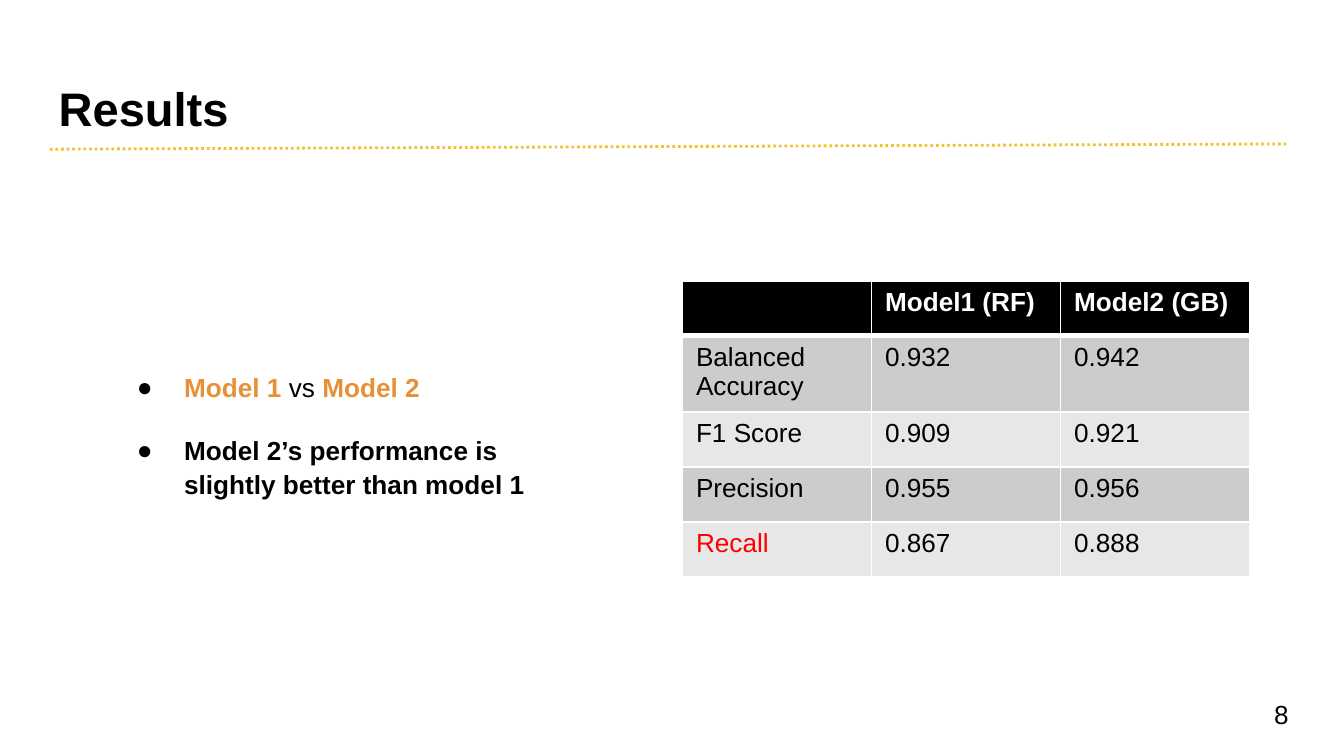
from dataclasses import dataclass

from lxml import etree
from pptx import Presentation
from pptx import util as u
from pptx.dml.color import RGBColor
from pptx.enum import dml, shapes, text
from pptx.oxml import ns


@dataclass(frozen=True)
class Theme:
    font: str = "Arial"
    title_size: float = 25.2
    body_size: float = 14
    ink: str = "000000"
    paper: str = "FFFFFF"
    accent: str = "E69138"
    rule: str = "F1C232"
    alert: str = "FF0000"
    bands: tuple = ("CCCCCC", "E7E7E7")


THEME = Theme()
BULLETS = [
    [("Model 1 ", THEME.accent, True), ("vs ", THEME.ink, False), ("Model 2", THEME.accent, True)],
    [("Model 2’s performance is slightly better than model 1", THEME.ink, True)],
]
SCORES = [
    ["", "Model1 (RF)", "Model2 (GB)"],
    ["Balanced Accuracy", "0.932", "0.942"],
    ["F1 Score", "0.909", "0.921"],
    ["Precision", "0.955", "0.956"],
    ["Recall", "0.867", "0.888"],
]


def style(span, color=THEME.ink, bold=False, size=THEME.body_size):
    span.font.name = THEME.font
    span.font.size = u.Pt(size)
    span.font.bold = bold
    span.font.color.rgb = RGBColor.from_string(color)


def add_frame(page, left, top, width, height, anchor=text.MSO_ANCHOR.MIDDLE):
    box = page.shapes.add_textbox(u.Cm(left), u.Cm(top), u.Cm(width), u.Cm(height))
    frame = box.text_frame
    frame.word_wrap = True
    frame.vertical_anchor = anchor
    frame.margin_left = frame.margin_right = u.Cm(0.25)
    frame.margin_top = frame.margin_bottom = u.Cm(0.25)
    return frame


def add_label(page, words, left, top, width, height, **look):
    frame = add_frame(page, left, top, width, height)
    frame.text = words
    style(frame.paragraphs[0].runs[0], **look)


def add_rule(page, left, top, right, bottom):
    line = page.shapes.add_connector(
        shapes.MSO_CONNECTOR.STRAIGHT, u.Cm(left), u.Cm(top), u.Cm(right), u.Cm(bottom))
    line.line.color.rgb = RGBColor.from_string(THEME.rule)
    line.line.width = u.Pt(1.5)
    line.line.dash_style = dml.MSO_LINE.ROUND_DOT
    etree.SubElement(line.element.spPr, ns.qn("a:effectLst"))


def set_bullet(para):
    props = para._p.get_or_add_pPr()
    props.set("marL", str(u.Cm(1.27)))
    props.set("indent", str(-u.Cm(0.89)))
    color = etree.SubElement(props, ns.qn("a:buClr"))
    etree.SubElement(color, ns.qn("a:srgbClr"), val=THEME.ink)
    etree.SubElement(props, ns.qn("a:buFont"), typeface=THEME.font)
    etree.SubElement(props, ns.qn("a:buChar"), char="●")


def add_bullets(page, left, top, width, height):
    frame = add_frame(page, left, top, width, height, text.MSO_ANCHOR.TOP)
    for index, parts in enumerate(BULLETS):
        para = frame.add_paragraph() if index else frame.paragraphs[0]
        para.line_spacing = 1.07
        para.space_before = u.Pt(16 if index else 0)
        set_bullet(para)
        for words, color, bold in parts:
            span = para.add_run()
            span.text = words
            style(span, color, bold)


def set_borders(cell, widths):
    props = cell._tc.get_or_add_tcPr()
    for index, (side, width) in enumerate(widths.items()):
        edge = etree.Element(ns.qn(f"a:{side}"), w=str(u.Pt(width)))
        fill = etree.SubElement(edge, ns.qn("a:solidFill"))
        etree.SubElement(fill, ns.qn("a:srgbClr"), val=THEME.paper)
        props.insert(index, edge)


def add_scores(page, left, top, width, row_height):
    rows, columns = len(SCORES), len(SCORES[0])
    table = page.shapes.add_table(
        rows, columns, u.Cm(left), u.Cm(top), u.Cm(width), u.Cm(row_height * rows)).table
    for r, row in enumerate(SCORES):
        table.rows[r].height = u.Cm(row_height)
        for c, words in enumerate(row):
            cell = table.cell(r, c)
            header = r == 0
            cell.fill.solid()
            cell.fill.fore_color.rgb = RGBColor.from_string(
                THEME.ink if header else THEME.bands[(r - 1) % 2])
            # The edge below the header is heavier than the others
            set_borders(cell, {"lnL": 1, "lnR": 1, "lnT": 3 if r == 1 else 1, "lnB": 3 if header else 1})
            if words:
                cell.text = words
                color = THEME.paper if header else THEME.alert if words == "Recall" else THEME.ink
                style(cell.text_frame.paragraphs[0].runs[0], color, header)


def main():
    deck = Presentation()
    deck.slide_width, deck.slide_height = u.Cm(25.4), u.Cm(14.29)
    page = deck.slides.add_slide(deck.slide_layouts[6])

    # Heading and dotted rule
    add_label(page, "Results", 0.86, 1.24, 23.67, 1.6, bold=True, size=THEME.title_size)
    add_rule(page, 0.94, 2.82, 24.33, 2.72)

    # Findings on the left, scores on the right
    add_bullets(page, 1.96, 6.73, 9.19, 3.51)
    add_scores(page, 12.9, 5.31, 10.72, 1.04)

    # Page number
    add_label(page, "8", 23.83, 12.93, 1.12, 1.12)
    deck.save("out.pptx")


if __name__ == "__main__":
    main()
